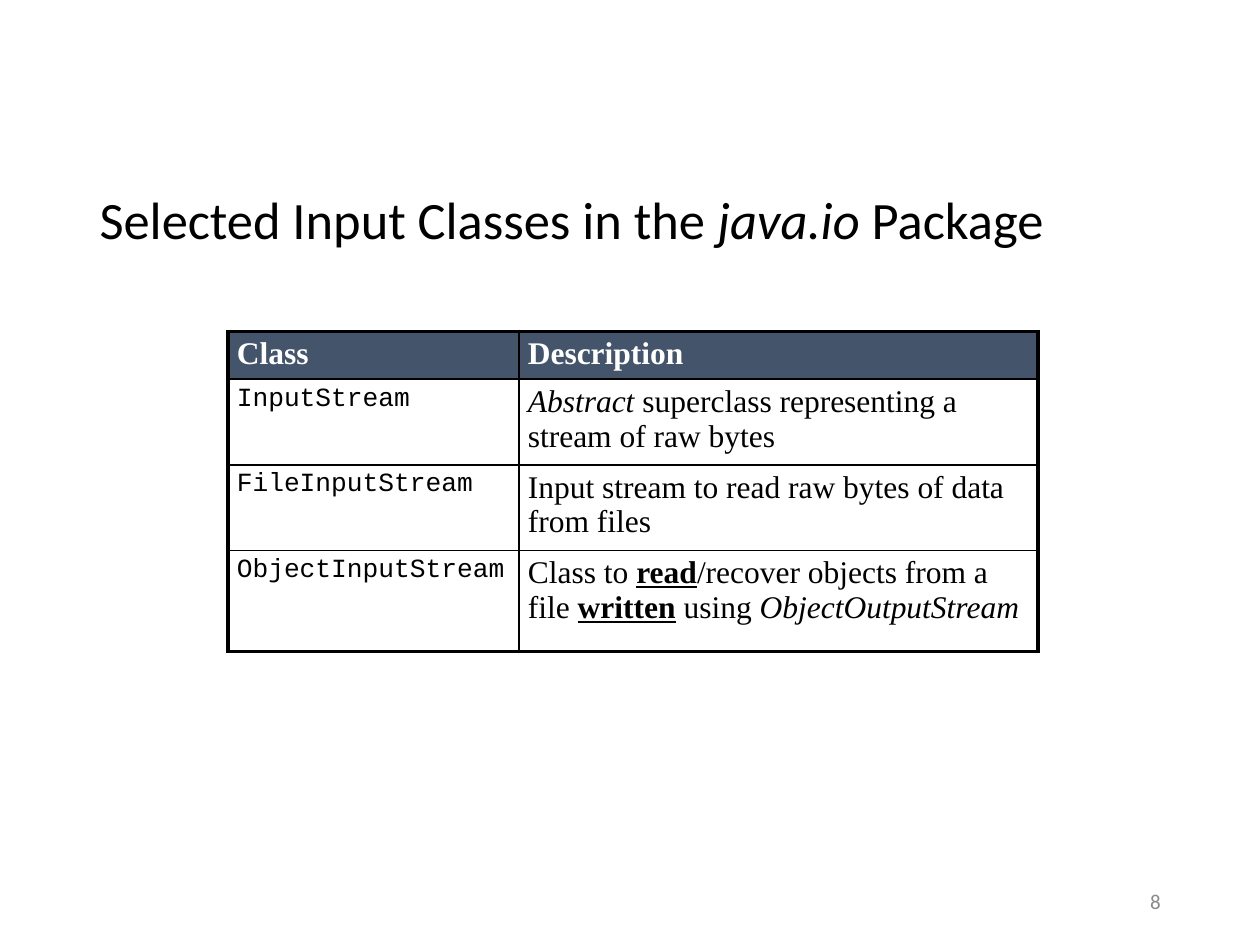
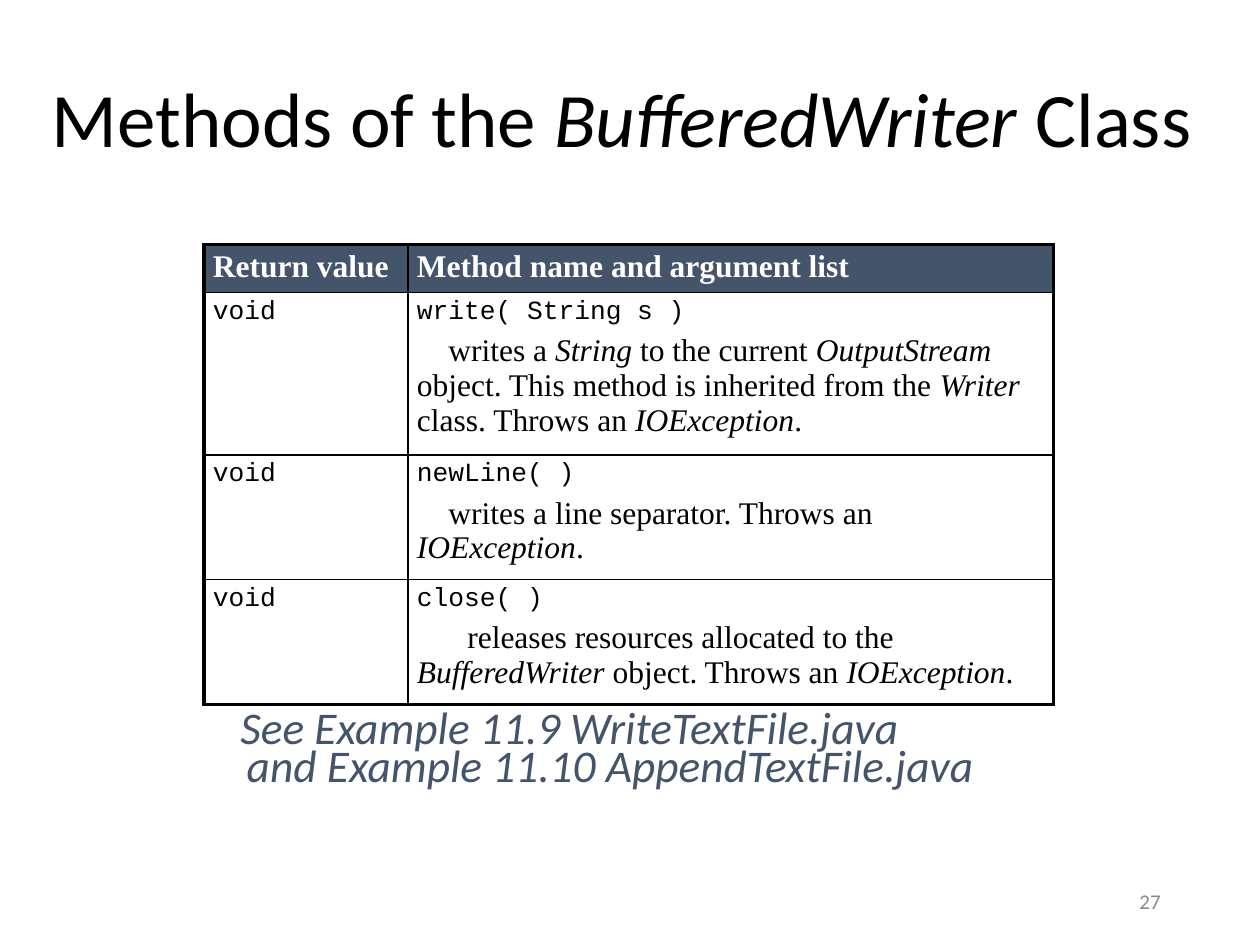
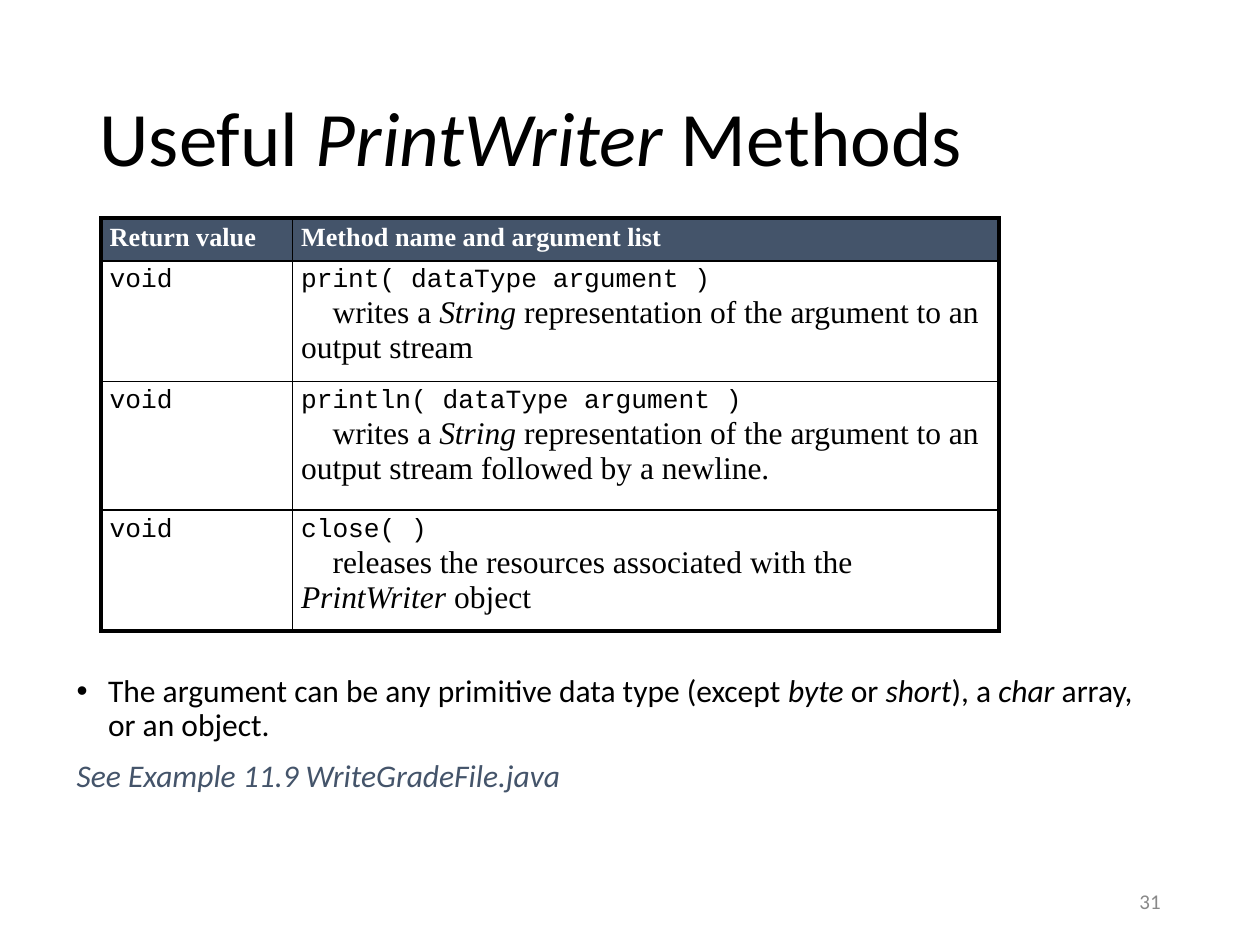
from dataclasses import dataclass

from lxml import etree
from pptx import Presentation
from pptx.dml.color import RGBColor
from pptx.enum import text
from pptx.oxml import ns
from pptx.util import Pt

PX = 9144  # EMU in one px, 100 px to the inch
COLORS = {"ink": "000000", "slate": "44546A", "white": "FFFFFF", "gray": "898989"}
SANS, SERIF, MONO = "Calibri", "Times New Roman", "Courier New"
THICK, THIN = 2.25, 1


@dataclass
class Para:
    """A paragraph; runs are plain strings or (string, style letters) pairs."""
    runs: list
    size: float = 18
    font: str = SANS
    color: str = "ink"
    style: str = ""
    left: int = 0
    first: int = 0
    lead: float = 1
    before: float = 0
    mark: str = ""
    align: str = "LEFT"


def head(words, size=18):
    return [Para([words], size, SERIF, "white", "b")]


def code(words):
    return Para([words], 15, MONO)


def prose(*runs, first=0, before=0):
    return Para(runs, 18, SERIF, first=first, before=before)


def method(name, *runs, first=25, before=0):
    """A table row: return type, then the call with its description."""
    return [[code("void")], [code(name), prose(*runs, first=first, before=before)]]


class Deck:
    def __init__(self):
        self.prs = Presentation()
        self.prs.slide_width, self.prs.slide_height = 1000 * PX, 750 * PX
        self.slide = None

    def fill_text(self, frame, paras):
        frame.word_wrap = True
        for i, item in enumerate(paras):
            para = frame.paragraphs[0] if i == 0 else frame.add_paragraph()
            props = para._p.get_or_add_pPr()
            props.set("marL", str(item.left * PX))
            props.set("indent", str(item.first * PX))
            if item.mark:
                etree.SubElement(props, ns.qn("a:buFont"), typeface="Arial")
                etree.SubElement(props, ns.qn("a:buChar"), char=item.mark)
            para.alignment = getattr(text.PP_ALIGN, item.align)
            para.line_spacing = item.lead
            para.space_before = Pt(item.before)
            for piece in item.runs:
                words, style = (piece, "") if isinstance(piece, str) else piece
                if words == "\n":
                    para.add_line_break()
                    continue
                run = para.add_run()
                run.text = words
                self.set_font(run.font, item, style + item.style)

    def set_font(self, font, item, style):
        font.name, font.size = item.font, Pt(item.size)
        font.color.rgb = RGBColor.from_string(COLORS[item.color])
        font.bold, font.italic, font.underline = (c in style for c in "biu")

    def page(self, number, box, size, *runs):
        """Start a slide with its title and page number."""
        self.slide = self.prs.slides.add_slide(self.prs.slide_layouts[5])
        title = self.slide.shapes.title
        title.left, title.top, title.width, title.height = (n * PX for n in box)
        frame = title.text_frame
        frame.auto_size = text.MSO_AUTO_SIZE.NONE
        frame.vertical_anchor = text.MSO_ANCHOR.MIDDLE
        self.fill_text(frame, [Para(runs, size, lead=0.9)])
        self.box((706, 695, 225, 40), [Para([number], 12, color="gray", align="RIGHT")], "MIDDLE")

    def box(self, box, paras, anchor="TOP"):
        frame = self.slide.shapes.add_textbox(*(n * PX for n in box)).text_frame
        frame.vertical_anchor = getattr(text.MSO_ANCHOR, anchor)
        self.fill_text(frame, paras)

    def table(self, left, top, widths, heights, rows):
        grid = self.slide.shapes.add_table(
            len(rows), len(widths), left * PX, top * PX, sum(widths) * PX, sum(heights) * PX).table
        grid.first_row = grid.horz_banding = False
        for col, width in zip(grid.columns, widths):
            col.width = width * PX
        for row, height in zip(grid.rows, heights):
            row.height = height * PX
        for r, row in enumerate(rows):
            for c, paras in enumerate(row):
                cell = grid.cell(r, c)
                cell.margin_left = cell.margin_right = 7 * PX
                cell.margin_top = cell.margin_bottom = 4 * PX
                edges = {"L": c == 0, "R": c == len(row) - 1, "T": r == 0, "B": r == len(rows) - 1}
                for side, outer in edges.items():
                    self.edge(cell, side, THICK if outer else THIN)
                if r == 0:
                    cell.fill.solid()
                    cell.fill.fore_color.rgb = RGBColor.from_string(COLORS["slate"])
                else:
                    cell.fill.background()
                self.fill_text(cell.text_frame, paras)

    def edge(self, cell, side, width):
        props = cell._tc.get_or_add_tcPr()
        line = etree.SubElement(props, ns.qn("a:ln" + side), w=str(Pt(width)))
        fill = etree.SubElement(line, ns.qn("a:solidFill"))
        etree.SubElement(fill, ns.qn("a:srgbClr"), val=COLORS["ink"])


def main():
    deck = Deck()

    # Input classes
    deck.page("8", (69, 133, 788, 88), 30,
              "Selected Input Classes in the ", ("java.io", "i"), " Package")
    deck.table(181, 263, [231, 412], [38, 68, 68, 80], [
        [head("Class"), head("Description")],
        [[code("InputStream")],
         [prose(("Abstract", "i"), " superclass representing a stream of raw bytes")]],
        [[code("FileInputStream")],
         [prose("Input stream to read raw bytes of data from files")]],
        [[code("ObjectInputStream")],
         [prose("Class to ", ("read", "bu"), "/recover objects from a file ", ("written", "bu"),
                " using ", ("ObjectOutputStream", "i"))]],
    ])

    # BufferedWriter methods
    throws = [" Throws an ", ("IOException", "i"), "."]
    deck.page("27", (31, 62, 945, 70), 44,
              "Methods of the ", ("BufferedWriter", "i"), " Class")
    deck.box((181, 562, 638, 75), [
        Para(["See Example 11.9 WriteTextFile.java", "\n", "and Example 11.10 AppendTextFile.java"],
             25.9, color="slate", style="i", left=5, first=-5, lead=0.7)])
    deck.table(162, 194, [162, 512], [38, 129, 99, 99], [
        [head("Return value"), head("Method name and argument list")],
        method("write( String s )", "writes a ", ("String ", "i"), "to the current ",
               ("OutputStream", "i"), " object. This method is inherited from the ",
               ("Writer", "i"), " class.", *throws, before=3.6),
        method("newLine( )", "writes a line separator.", *throws, before=3.6),
        method("close( )", "releases resources allocated to the ", ("BufferedWriter", "i"),
               " object.", *throws, first=40, before=3.6),
    ])

    # PrintWriter methods
    writes = ["writes a ", ("String", "i"), " representation of the argument to an output stream"]
    deck.page("31", (69, 40, 862, 145), 44,
              "Useful ", ("PrintWriter", "i"), " Methods")
    deck.box((51, 531, 880, 106), [
        Para(["The argument can be any primitive data type (except ", ("byte", "i"), " or ",
              ("short", "i"), "), a ", ("char", "i"), " array, or an object."],
             left=25, first=-25, lead=0.9, mark="•"),
        Para(["See Example 11.9 WriteGradeFile.java"], color="slate", style="i",
             left=25, first=-25, lead=0.9, before=10)])
    deck.table(80, 173, [152, 561], [34, 96, 102, 96], [
        [head("Return value", 15), head("Method name and argument list", 15)],
        method("print( dataType argument )", *writes),
        method("println( dataType argument )", *writes, " followed by a newline."),
        method("close( )", "releases the resources associated with the ",
               ("PrintWriter", "i"), " object"),
    ])

    deck.prs.save("out.pptx")


if __name__ == "__main__":
    main()
